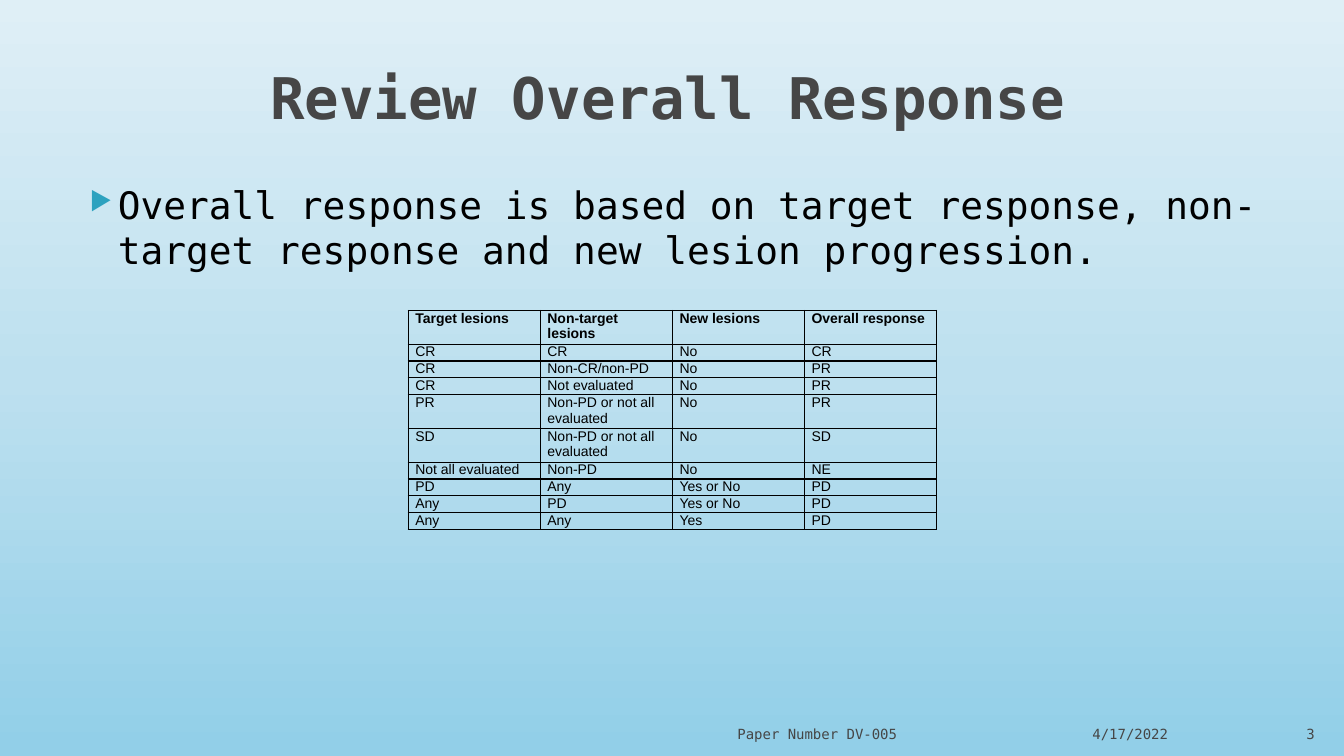
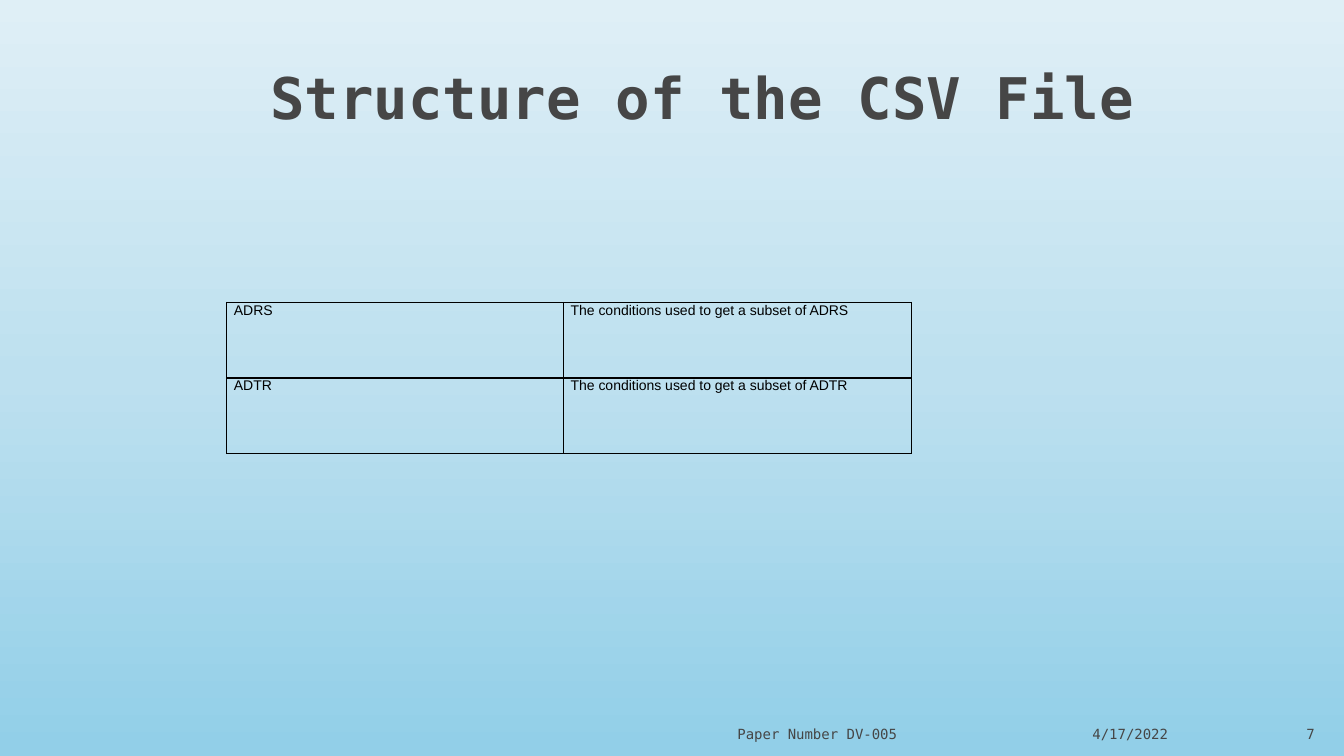
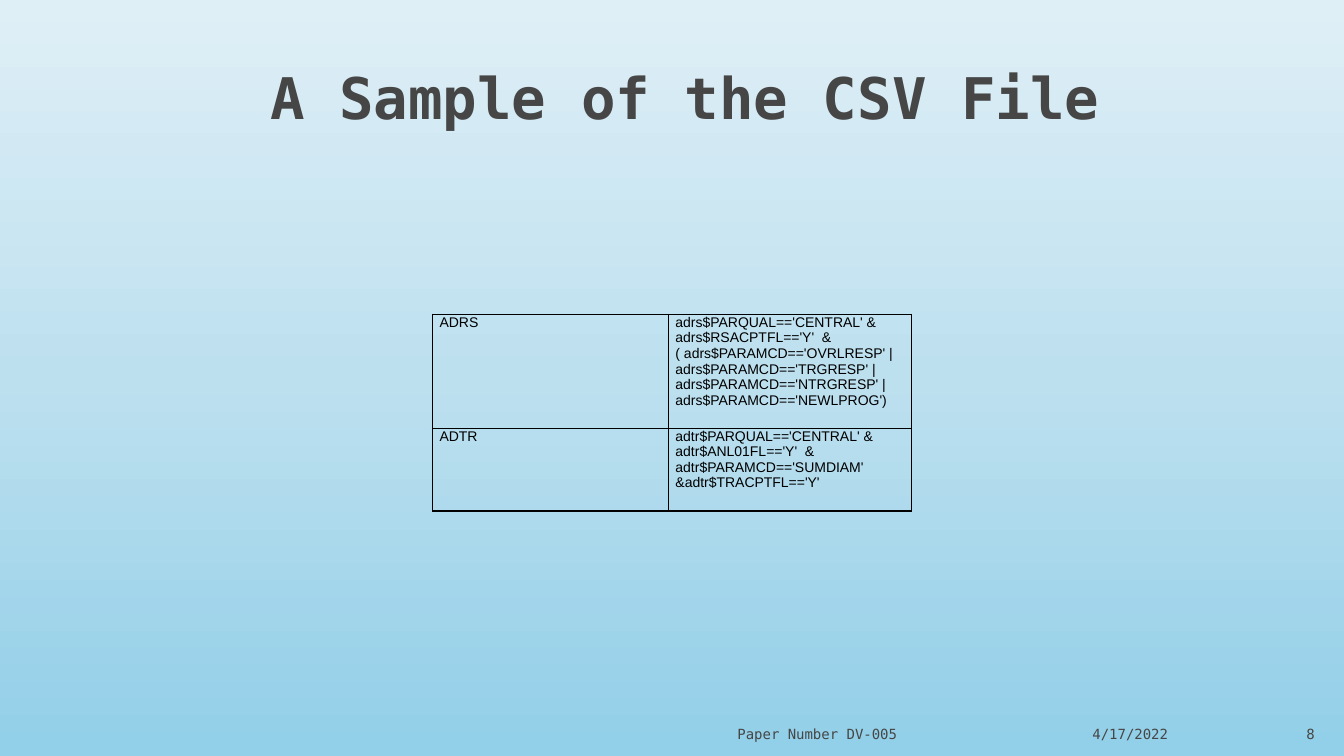
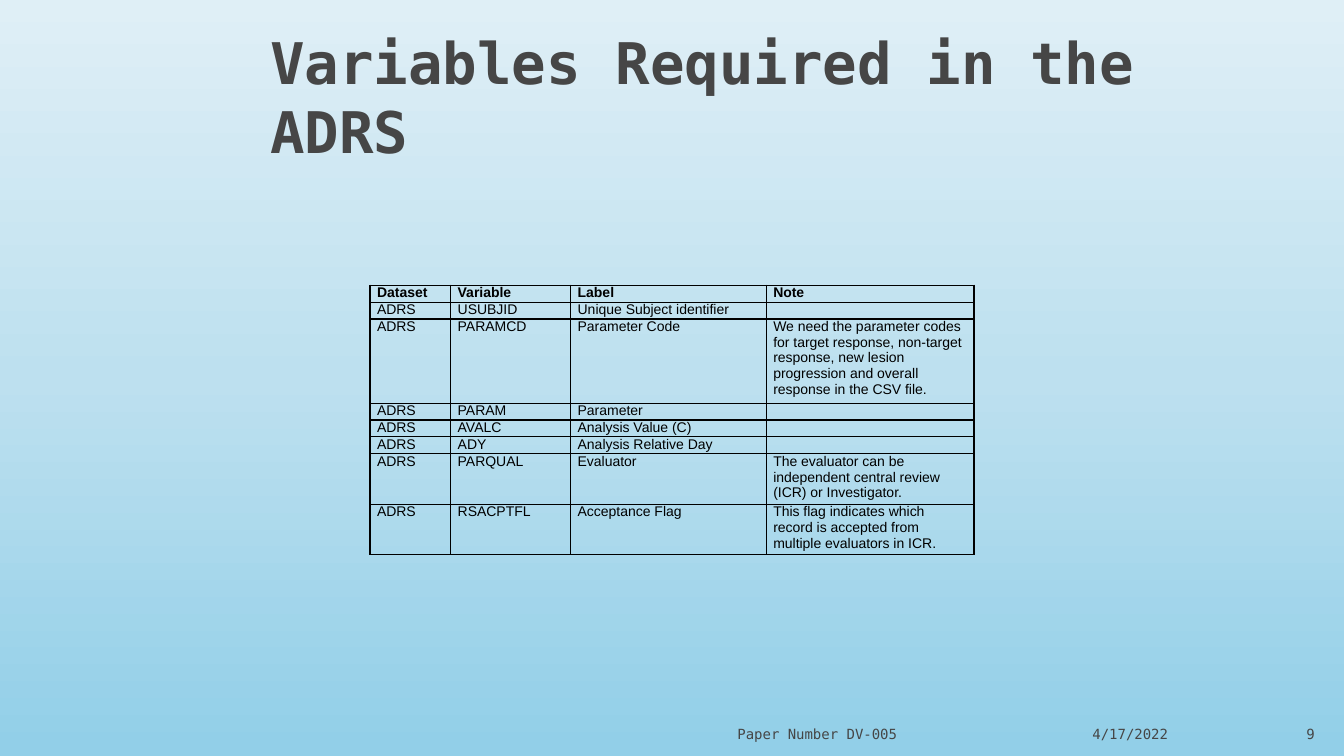
from dataclasses import dataclass

from lxml.etree import SubElement
from pptx import Presentation
from pptx.dml.color import RGBColor
from pptx.enum.text import MSO_ANCHOR, PP_ALIGN
from pptx.oxml.ns import qn
from pptx.slide import Slide
from pptx.util import Inches, Pt

# Shared style
BLACK = RGBColor(0x00, 0x00, 0x00)
GREY = RGBColor(0x46, 0x46, 0x46)
TEAL = RGBColor(0x2D, 0xA2, 0xBF)
SKY = [
    (0, RGBColor(0xDF, 0xEF, 0xF6)),
    (50, RGBColor(0xBD, 0xE0, 0xEF)),
    (99, RGBColor(0x92, 0xCF, 0xE8)),
]
MONO = "DejaVu Sans Mono"
SANS = "Arial"
LINE = 0.15  # least row height; rows grow with their text


@dataclass
class Label:
    """A text box with one paragraph."""
    left: float
    top: float
    width: float
    height: float
    size: float
    color: RGBColor = GREY
    bold: bool = False
    align: PP_ALIGN = PP_ALIGN.LEFT
    anchor: MSO_ANCHOR = MSO_ANCHOR.TOP


@dataclass
class Grid:
    """A ruled table; heights default to one line a row."""
    left: float
    top: float
    widths: list[float]
    cells: list[list[str]]
    heights: list[float] | None = None
    header: bool = False


@dataclass
class Page:
    number: int
    title: str
    grid: Grid
    bullet: str = ""


TITLE = Label(2.58, 0.33, 10.11, 1.25, 41, bold=True, anchor=MSO_ANCHOR.MIDDLE)
BODY = Label(0.67, 1.75, 12, 4.82, 27, BLACK)
DATE = Label(9.81, 7.01, 2.8, 0.4, 10, align=PP_ALIGN.CENTER,
             anchor=MSO_ANCHOR.BOTTOM)
PAPER = Label(6.39, 7.01, 3.43, 0.4, 10, align=PP_ALIGN.CENTER,
              anchor=MSO_ANCHOR.BOTTOM)
NUMBER = Label(12.61, 7.01, 0.53, 0.4, 10, align=PP_ALIGN.RIGHT,
               anchor=MSO_ANCHOR.BOTTOM)


def style(para, font: str, size: float, color: RGBColor, bold: bool) -> None:
    for run in para.runs:
        run.font.name = font
        run.font.size = Pt(size)
        run.font.color.rgb = color
        run.font.bold = bold


def paint_sky(master) -> None:
    """Give every slide the same downward gradient."""
    fill = master.background.fill
    fill.gradient()
    fill.gradient_angle = 270
    stops = master.element.find(".//" + qn("a:gsLst"))
    for old in list(stops):
        stops.remove(old)
    for place, color in SKY:
        stop = SubElement(stops, qn("a:gs"), pos=str(place * 1000))
        SubElement(stop, qn("a:srgbClr"), val=str(color))


def add_label(slide: Slide, label: Label, text: str):
    box = slide.shapes.add_textbox(Inches(label.left), Inches(label.top),
                                   Inches(label.width), Inches(label.height))
    frame = box.text_frame
    frame.word_wrap = True
    frame.vertical_anchor = label.anchor
    frame.text = text
    para = frame.paragraphs[0]
    para.alignment = label.align
    style(para, MONO, label.size, label.color, label.bold)
    return para


def add_bullet(slide: Slide, text: str) -> None:
    para = add_label(slide, BODY, text)
    para.space_before = Pt(4)
    props = para._p.get_or_add_pPr()
    props.set("marL", str(Inches(0.4)))
    props.set("indent", str(Inches(-0.28)))
    color = SubElement(props, qn("a:buClr"))
    SubElement(color, qn("a:srgbClr"), val=str(TEAL))
    SubElement(props, qn("a:buSzPct"), val="68000")
    SubElement(props, qn("a:buChar"), char="\u25b6")


def add_rules(cell) -> None:
    """Draw a thin black line on each side of a cell."""
    props = cell._tc.get_or_add_tcPr()
    for side in ("lnL", "lnR", "lnT", "lnB"):
        rule = SubElement(props, qn(f"a:{side}"), w=str(Pt(1)))
        fill = SubElement(rule, qn("a:solidFill"))
        SubElement(fill, qn("a:srgbClr"), val=str(BLACK))


def fill_cell(cell, text: str, bold: bool) -> None:
    cell.margin_left = cell.margin_right = Inches(0.07)
    cell.margin_top = cell.margin_bottom = 0
    add_rules(cell)
    cell.fill.background()
    para = cell.text_frame.paragraphs[0]
    para.space_before = Pt(1)
    para.space_after = Pt(2)
    if text:
        para.text = text
        style(para, SANS, 10, BLACK, bold)
    else:
        SubElement(para._p, qn("a:endParaRPr"), sz="1000")


def add_grid(slide: Slide, grid: Grid) -> None:
    heights = grid.heights or [LINE] * len(grid.cells)
    table = slide.shapes.add_table(
        len(heights), len(grid.widths), Inches(grid.left), Inches(grid.top),
        Inches(sum(grid.widths)), Inches(sum(heights))).table
    table.first_row = table.horz_banding = False
    for col, width in zip(table.columns, grid.widths):
        col.width = Inches(width)
    for r, (row, height) in enumerate(zip(table.rows, heights)):
        row.height = Inches(height)
        for cell, text in zip(row.cells, grid.cells[r]):
            fill_cell(cell, text, grid.header and r == 0)


# Content
REVIEW = Grid(4.05, 3.08, [1.31] * 4, [
    ["Target lesions", "Non-target lesions", "New lesions", "Overall response"],
    ["CR", "CR", "No", "CR"],
    ["CR", "Non-CR/non-PD", "No", "PR"],
    ["CR", "Not evaluated", "No", "PR"],
    ["PR", "Non-PD or not all evaluated", "No", "PR"],
    ["SD", "Non-PD or not all evaluated", "No", "SD"],
    ["Not all evaluated", "Non-PD", "No", "NE"],
    ["PD", "Any", "Yes or No", "PD"],
    ["Any", "PD", "Yes or No", "PD"],
    ["Any", "Any", "Yes", "PD"],
], header=True)

LAYOUT = Grid(2.25, 3, [3.34, 3.45], [
    [name, f"The conditions used to get a subset of {name}"]
    for name in ("ADRS", "ADTR")
], [0.75, 0.75])

SAMPLE = Grid(4.29, 3.12, [2.34, 2.41], [
    ["ADRS", "adrs$PARQUAL=='CENTRAL' & adrs$RSACPTFL=='Y'  & "
             "( adrs$PARAMCD=='OVRLRESP' | adrs$PARAMCD=='TRGRESP' | "
             "adrs$PARAMCD=='NTRGRESP' | adrs$PARAMCD=='NEWLPROG')"],
    ["ADTR", "adtr$PARQUAL=='CENTRAL' & adtr$ANL01FL=='Y'  & "
             "adtr$PARAMCD=='SUMDIAM' &adtr$TRACPTFL=='Y'"],
], [1.13, 0.82])

FIELDS = [
    ["USUBJID", "Unique Subject identifier", ""],
    ["PARAMCD", "Parameter Code",
     "We need the parameter codes for target response, non-target response, "
     "new lesion progression and overall response in the CSV file."],
    ["PARAM", "Parameter", ""],
    ["AVALC", "Analysis Value (C)", ""],
    ["ADY", "Analysis Relative Day", ""],
    ["PARQUAL", "Evaluator",
     "The evaluator can be independent central review (ICR) or Investigator."],
    ["RSACPTFL", "Acceptance Flag",
     "This flag indicates which record is accepted from multiple evaluators "
     "in ICR."],
]
NEEDED = Grid(3.67, 2.83, [0.8, 1.19, 1.94, 2.06], [
    ["Dataset", "Variable", "Label", "Note"],
    *(["ADRS", *field] for field in FIELDS),
], header=True)

PAGES = [
    Page(3, "Review Overall Response", REVIEW,
         "Overall response is based on target response, non-target response "
         "and new lesion progression."),
    Page(7, "Structure of the CSV File", LAYOUT),
    Page(8, "A Sample of the CSV File", SAMPLE),
    Page(9, "Variables Required in the ADRS", NEEDED),
]

# Build
deck = Presentation()
deck.slide_width = Inches(13.33)
deck.slide_height = Inches(7.5)
paint_sky(deck.slide_master)
for page in PAGES:
    slide = deck.slides.add_slide(deck.slide_layouts[6])
    if page.bullet:
        add_bullet(slide, page.bullet)
    add_label(slide, TITLE, page.title)
    add_label(slide, DATE, "4/17/2022")
    add_label(slide, PAPER, "Paper Number DV-005")
    add_label(slide, NUMBER, str(page.number))
    add_grid(slide, page.grid)
deck.save("out.pptx")
